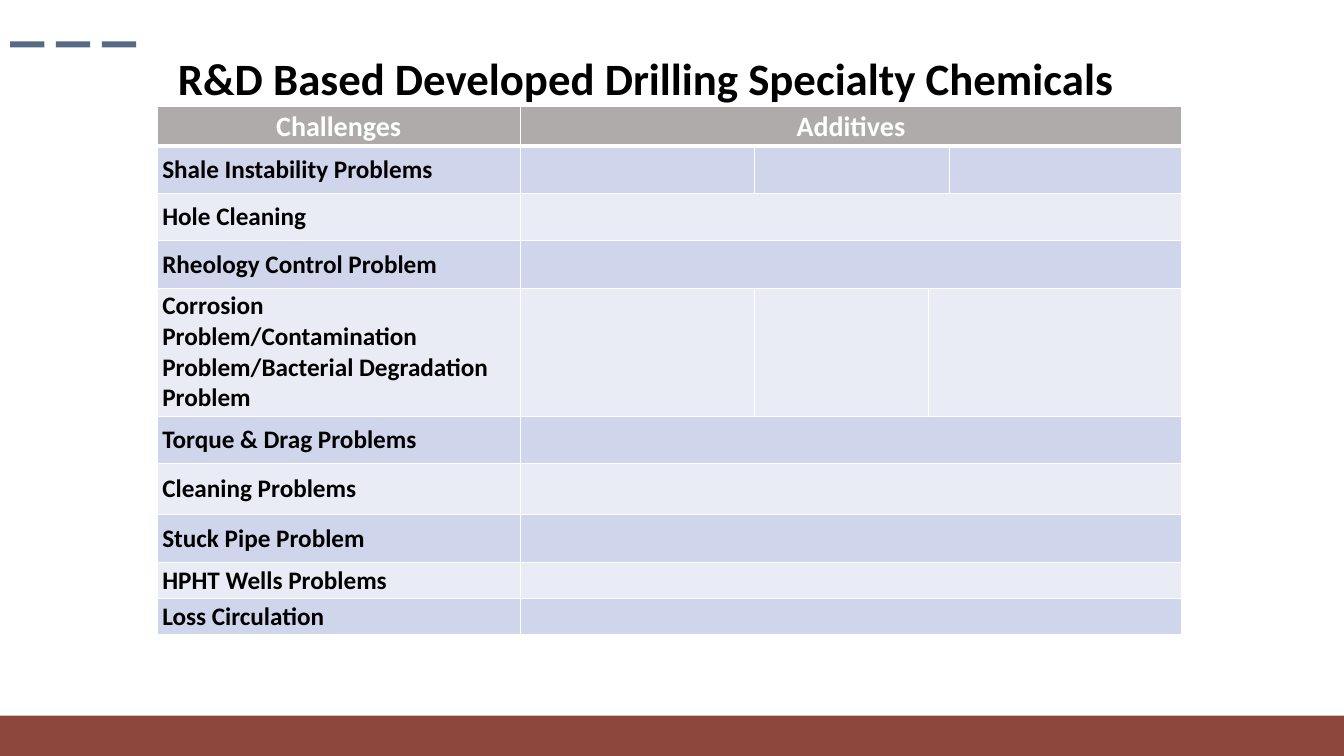
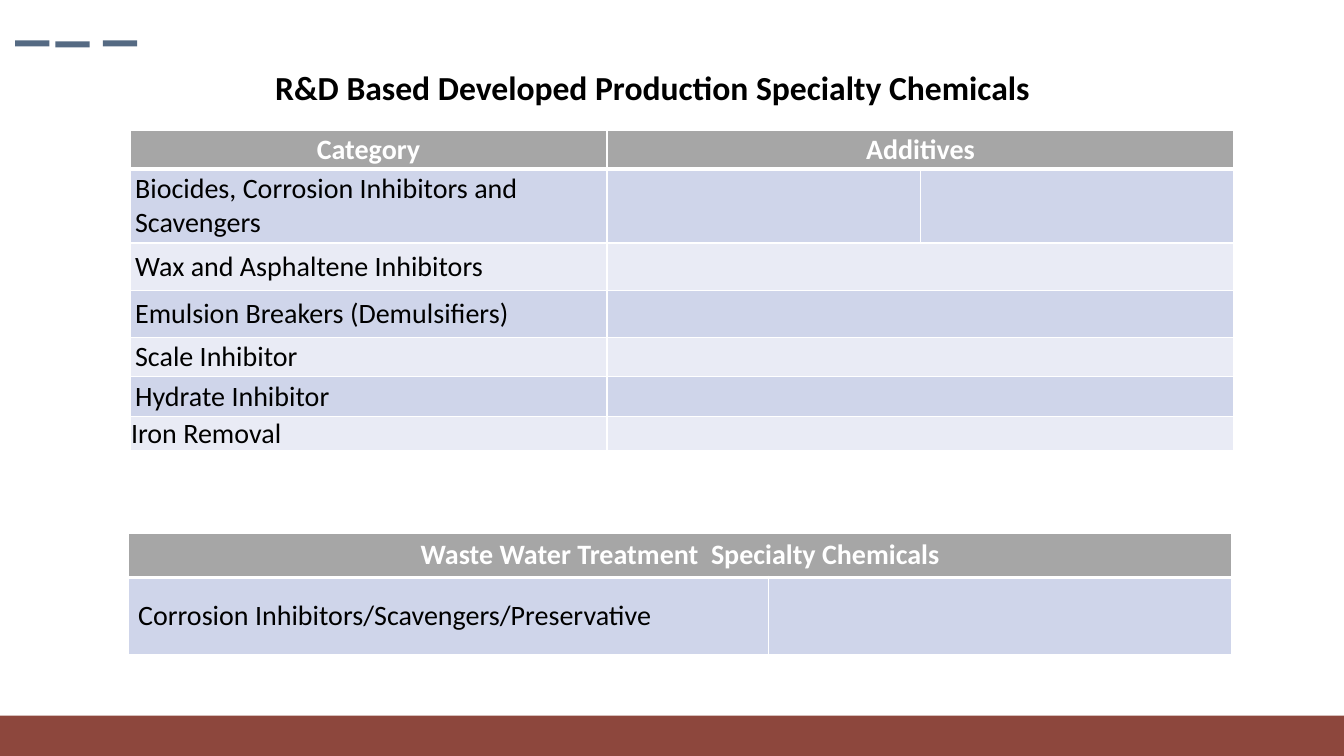
from lxml.etree import SubElement
from pptx import Presentation
from pptx.dml.color import RGBColor
from pptx.enum.shapes import MSO_SHAPE
from pptx.enum.text import MSO_ANCHOR, PP_ALIGN
from pptx.oxml import parse_xml
from pptx.oxml.ns import nsdecls, qn
from pptx.util import Inches, Pt

SLIDE_WIDTH, SLIDE_HEIGHT = 13.33, 7.5
FONT = "Calibri"
BLACK = RGBColor(0x00, 0x00, 0x00)
WHITE = RGBColor(0xFF, 0xFF, 0xFF)
BRICK = RGBColor(0x7F, 0x31, 0x26)
SLATE = RGBColor(0x55, 0x6A, 0x83)
WARM_GREY = RGBColor(0xAF, 0xAB, 0xAB)
GREY = RGBColor(0xA6, 0xA6, 0xA6)
BANDS = (RGBColor(0xCF, 0xD5, 0xEA), RGBColor(0xE9, 0xEB, 0xF5))

# Cell margins: left, top, right, bottom
TIGHT = (0.05, 0.02, 0.05, 0.02)
FLUSH = (0.01, 0.01, 0.01, 0)
ROOMY = (0.1, 0.05, 0.1, 0.05)


def add_bar(slide, box, color, opacity=100):
    shape = slide.shapes.add_shape(MSO_SHAPE.RECTANGLE, *map(Inches, box))
    shape.shadow.inherit = False
    shape.line.fill.background()
    shape.fill.solid()
    shape.fill.fore_color.rgb = color
    if opacity < 100:
        color_element = shape.fill._xPr.find(".//" + qn("a:srgbClr"))
        SubElement(color_element, qn("a:alpha"), val=str(opacity * 1000))


def style_text(paragraph, size, color, bold):
    for run in paragraph.runs:
        run.font.name = FONT
        run.font.size = Pt(size)
        run.font.bold = bold
        run.font.color.rgb = color


def add_title(slide, box, text, size):
    text_frame = slide.shapes.add_textbox(*map(Inches, box)).text_frame
    text_frame.word_wrap = True
    text_frame.vertical_anchor = MSO_ANCHOR.MIDDLE
    text_frame.text = text
    paragraph = text_frame.paragraphs[0]
    paragraph.alignment = PP_ALIGN.CENTER
    paragraph.line_spacing = 0.9
    style_text(paragraph, size, BLACK, True)


def add_page(presentation, title, title_box, title_size, dashes):
    """Blank slide with title, corner dashes and footer band."""
    slide = presentation.slides.add_slide(presentation.slide_layouts[6])
    add_title(slide, title_box, title, title_size)
    add_bar(slide, (0, 7.1, SLIDE_WIDTH, 0.4), BRICK, opacity=89)
    for left, top in dashes:
        add_bar(slide, (left, top, 0.34, 0.06), SLATE)
    return slide


def set_borders(cell, bottom_width):
    properties = cell._tc.get_or_add_tcPr()
    widths = {"lnL": 1, "lnR": 1, "lnT": 1, "lnB": bottom_width}
    for position, (tag, width) in enumerate(widths.items()):
        properties.insert(position, parse_xml(
            f'<a:{tag} {nsdecls("a")} w="{Pt(width)}"><a:solidFill>'
            f'<a:srgbClr val="{WHITE}"/></a:solidFill></a:{tag}>'))


def style_cell(cell, text, fill, margins, size, bold, is_header):
    cell.fill.solid()
    cell.fill.fore_color.rgb = fill
    cell.vertical_anchor = MSO_ANCHOR.MIDDLE
    (cell.margin_left, cell.margin_top,
     cell.margin_right, cell.margin_bottom) = map(Inches, margins)
    set_borders(cell, 3 if is_header else 1)
    if text:
        cell.text_frame.text = text
        paragraph = cell.text_frame.paragraphs[0]
        paragraph.alignment = PP_ALIGN.CENTER if is_header else PP_ALIGN.LEFT
        style_text(paragraph, size, WHITE if is_header else BLACK, bold)


def add_banded_table(slide, box, columns, rows, header_fill, size, bold):
    """Each row: height, texts, first column of each merged cell, margins.

    Columns and heights are weights that share out the box.
    """
    left, top, width, height = box
    table = slide.shapes.add_table(
        len(rows), len(columns), *map(Inches, box)).table
    for column, weight in zip(table.columns, columns):
        column.width = Inches(width * weight / sum(columns))
    total_height = sum(row[0] for row in rows)
    for index, (weight, texts, starts, margins) in enumerate(rows):
        table.rows[index].height = Inches(height * weight / total_height)
        is_header = index == 0
        fill = header_fill if is_header else BANDS[(index - 1) % 2]
        ends = [*starts[1:], len(columns)]
        for number, (start, end) in enumerate(zip(starts, ends)):
            cell = table.cell(index, start)
            if end - start > 1:
                cell.merge(table.cell(index, end - 1))
            text = texts[number] if number < len(texts) else ""
            style_cell(cell, text, fill, margins,
                       20 if is_header else size,
                       True if is_header else bold, is_header)


def build_drilling_slide(presentation):
    slide = add_page(
        presentation, "R&D Based Developed Drilling Specialty Chemicals ",
        (1.51, 0.55, 9.9, 0.5), 32,
        [(0.1 + 0.455 * step, 0.41) for step in range(3)])
    challenges = [
        (0.47, "Shale Instability Problems", (0, 1, 2, 4)),
        (0.47, "Hole Cleaning", (0, 1)),
        (0.47, "Rheology Control Problem", (0, 1)),
        (1.27, "Corrosion Problem/Contamination Problem/"
               "Bacterial Degradation Problem", (0, 1, 2, 3)),
        (0.47, "Torque & Drag Problems", (0, 1)),
        (0.51, "Cleaning Problems", (0, 1)),
        (0.47, "Stuck Pipe Problem", (0, 1)),
        (0.36, "HPHT Wells Problems", (0, 1)),
        (0.36, "Loss Circulation", (0, 1)),
    ]
    rows = [(0.39, ("Challenges", "Additives"), (0, 1), TIGHT)]
    rows += [(height, (name,), starts, TIGHT)
             for height, name, starts in challenges]
    add_banded_table(slide, (1.56, 1.06, 10.16, 5.24),
                     (3.6, 2.32, 1.73, 0.21, 2.3), rows, WARM_GREY, 18, True)


def build_production_slide(presentation):
    slide = add_page(
        presentation, "R&D Based Developed Production Specialty Chemicals ",
        (1.56, 0.64, 9.9, 0.5), 24,
        [(0.15, 0.4), (0.55, 0.41), (1.02, 0.4)])
    # Additives by category
    rows = [
        (0.39, ("Category", "Additives"), (0, 1), TIGHT),
        (0.73, ("Biocides, Corrosion Inhibitors and Scavengers",),
         (0, 1, 2), TIGHT),
        (0.47, ("Wax and Asphaltene Inhibitors",), (0, 1), TIGHT),
        (0.47, ("Emulsion Breakers (Demulsifiers)",), (0, 1), TIGHT),
        (0.39, ("Scale Inhibitor",), (0, 1), TIGHT),
        (0.39, ("Hydrate Inhibitor",), (0, 1), TIGHT),
        (0.34, ("Iron Removal",), (0, 1), FLUSH),
    ]
    add_banded_table(slide, (1.29, 1.29, 10.95, 3.18),
                     (4.73, 3.11, 3.11), rows, GREY, 20, False)
    # Waste water treatment
    rows = [
        (0.44, ("Waste Water Treatment  Specialty Chemicals",), (0,), ROOMY),
        (0.76, ("Corrosion Inhibitors/Scavengers/Preservative",),
         (0, 1), ROOMY),
    ]
    add_banded_table(slide, (1.27, 5.29, 10.95, 1.2),
                     (6.35, 4.6), rows, GREY, 20, False)


def main():
    presentation = Presentation()
    presentation.slide_width = Inches(SLIDE_WIDTH)
    presentation.slide_height = Inches(SLIDE_HEIGHT)
    build_drilling_slide(presentation)
    build_production_slide(presentation)
    presentation.save("out.pptx")


if __name__ == "__main__":
    main()
